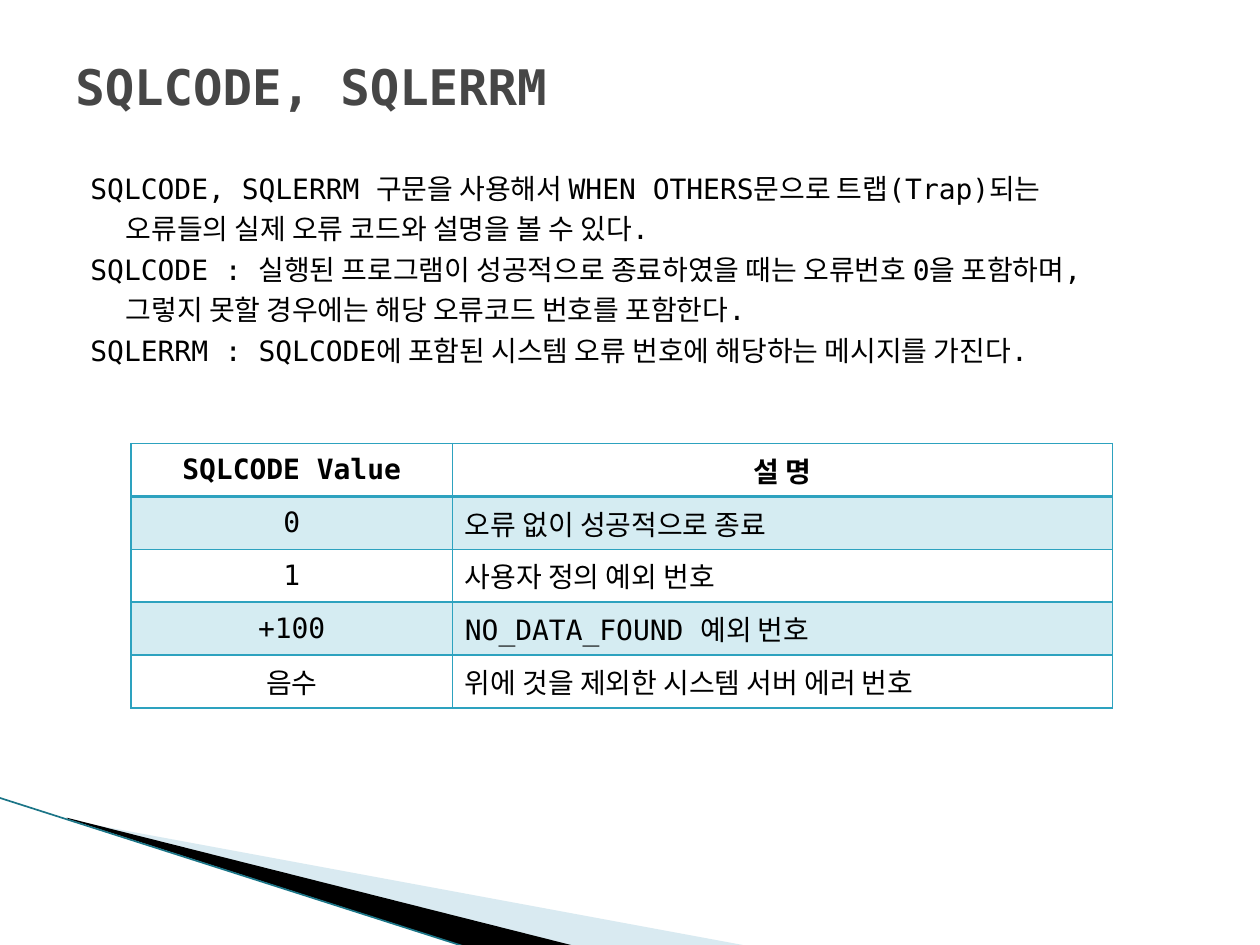
from dataclasses import dataclass

from lxml.etree import SubElement
from pptx import Presentation
from pptx.dml.color import RGBColor as Rgb
from pptx.enum.shapes import MSO_CONNECTOR as Connector
from pptx.enum.text import MSO_ANCHOR as Anchor, PP_ALIGN as Align
from pptx.oxml.ns import qn
from pptx.util import Inches, Pt


@dataclass(frozen=True)
class Theme:
    """Colours, font and type sizes of the slide."""
    font: str = "DejaVu Sans Mono"
    title_size: int = 28
    body_size: int = 16
    title: str = "464646"
    ink: str = "000000"
    accent: str = "2DA2BF"
    pale: str = "A0CBDC"
    edge: str = "1B7587"


@dataclass(frozen=True)
class Wedge:
    """A sloping band in the bottom corner."""
    points: tuple[tuple[float, float], ...]
    color: str
    opacity: int = 100


@dataclass(frozen=True)
class Line:
    """A line of body text; a continued one starts at the hanging indent."""
    text: str
    continued: bool = False


THEME = Theme()
WEDGES = (
    Wedge(((0.55, 6.51), (5.95, 7.51), (4.56, 7.51), (0.55, 6.5)), THEME.pale, 40),
    Wedge(((0.53, 6.49), (4.57, 7.51), (3.72, 7.52), (0.54, 6.5)), THEME.ink),
)
EXPLANATION = (
    Line("SQLCODE, SQLERRM 구문을 사용해서 WHEN OTHERS문으로 트랩(Trap)되는"),
    Line("오류들의 실제 오류 코드와 설명을 볼 수 있다.", True),
    Line("SQLCODE : 실행된 프로그램이 성공적으로 종료하였을 때는 오류번호 0을 포함하며,"),
    Line("그렇지 못할 경우에는 해당 오류코드 번호를 포함한다.", True),
    Line("SQLERRM : SQLCODE에 포함된 시스템 오류 번호에 해당하는 메시지를 가진다."),
)
CODES = (
    ("SQLCODE Value", "설 명"),
    ("0", "오류 없이 성공적으로 종료"),
    ("1", "사용자 정의 예외 번호"),
    ("+100", "NO_DATA_FOUND 예외 번호"),
    ("음수", "위에 것을 제외한 시스템 서버 에러 번호"),
)
COLUMN_WIDTHS = (2.55, 5.24)
ROW_HEIGHT = 0.42


def style(paragraph, size: int, color: str, bold: bool = False) -> None:
    """Format every run of a paragraph."""
    for run in paragraph.runs:
        run.font.name, run.font.size, run.font.bold = THEME.font, Pt(size), bold
        run.font.color.rgb = Rgb.from_string(color)


def tint(fill, properties, color: str, opacity: int) -> None:
    """Fill with a colour at the given opacity in percent."""
    fill.solid()
    fill.fore_color.rgb = Rgb.from_string(color)
    if opacity < 100:
        swatch = properties.find(qn("a:solidFill")).find(qn("a:srgbClr"))
        SubElement(swatch, qn("a:alpha"), val=str(opacity * 1000))


def draw_wedge(shapes, wedge: Wedge) -> None:
    """Draw one borderless corner band."""
    (left, top), *rest = wedge.points
    builder = shapes.build_freeform(Inches(left), Inches(top))
    builder.add_line_segments([(Inches(x), Inches(y)) for x, y in rest])
    band = builder.convert_to_shape()
    band.shadow.inherit = False
    band.line.fill.background()
    tint(band.fill, band.element.spPr, wedge.color, wedge.opacity)


def draw_edge(shapes) -> None:
    """Draw the thin line along the corner bands."""
    edge = shapes.add_connector(Connector.STRAIGHT, Inches(-0.01), Inches(6.33),
                                Inches(3.71), Inches(7.52))
    edge.line.color.rgb = Rgb.from_string(THEME.edge)
    edge.line.width = Pt(0.95)
    SubElement(edge.element.spPr, qn("a:effectLst"))


def add_text_frame(shapes, top: float, height: float):
    """Add a wrapping text box across the content width."""
    frame = shapes.add_textbox(Inches(0.5), Inches(top), Inches(9), Inches(height)).text_frame
    frame.word_wrap = True
    return frame


def draw_title(shapes) -> None:
    """Write the slide title."""
    heading = add_text_frame(shapes, 0.3, 0.77)
    heading.vertical_anchor = Anchor.MIDDLE
    heading.text = "SQLCODE, SQLERRM"
    style(heading.paragraphs[0], THEME.title_size, THEME.title, bold=True)


def draw_explanation(shapes) -> None:
    """Write the body lines with a hanging indent."""
    body = add_text_frame(shapes, 1.31, 5.83)
    body.text = "\n".join(line.text for line in EXPLANATION)
    for line, paragraph in zip(EXPLANATION, body.paragraphs):
        paragraph.space_before = Pt(4)
        indent = paragraph._p.get_or_add_pPr()
        indent.set("marL", str(Inches(0.4)))
        indent.set("indent", str(Inches(0 if line.continued else -0.28)))
        style(paragraph, THEME.body_size, THEME.ink)


def draw_borders(properties, row: int) -> None:
    """Rule a cell, with a heavier line beneath the header."""
    widths = {"lnL": 1, "lnR": 1, "lnT": 2 if row == 1 else 1, "lnB": 2 if row == 0 else 1}
    for side, width in widths.items():
        border = SubElement(properties, qn(f"a:{side}"), w=str(Pt(width)))
        SubElement(SubElement(border, qn("a:solidFill")), qn("a:srgbClr"), val=THEME.accent)


def draw_codes(shapes) -> None:
    """Draw the table of code values."""
    table = shapes.add_table(len(CODES), len(COLUMN_WIDTHS), Inches(1.04), Inches(3.52),
                             Inches(sum(COLUMN_WIDTHS)), Inches(ROW_HEIGHT * len(CODES))).table
    table.first_row = table.horz_banding = False
    for column, width in zip(table.columns, COLUMN_WIDTHS):
        column.width = Inches(width)
    for row, entries in enumerate(CODES):
        for column, entry in enumerate(entries):
            cell = table.cell(row, column)
            cell.text_frame.text = entry
            cell.vertical_anchor = Anchor.MIDDLE
            paragraph = cell.text_frame.paragraphs[0]
            paragraph.alignment = Align.CENTER if row == 0 or column == 0 else Align.LEFT
            style(paragraph, THEME.body_size, THEME.ink, bold=row == 0)
            properties = cell._tc.get_or_add_tcPr()
            draw_borders(properties, row)
            if row % 2:
                tint(cell.fill, properties, THEME.accent, 20)
            else:
                cell.fill.background()


def main() -> None:
    """Build and save the slide."""
    deck = Presentation()
    deck.slide_width, deck.slide_height = Inches(10), Inches(7.5)
    shapes = deck.slides.add_slide(deck.slide_layouts[6]).shapes
    for wedge in WEDGES:
        draw_wedge(shapes, wedge)
    draw_edge(shapes)
    draw_explanation(shapes)
    draw_title(shapes)
    draw_codes(shapes)
    deck.save("out.pptx")


main()
